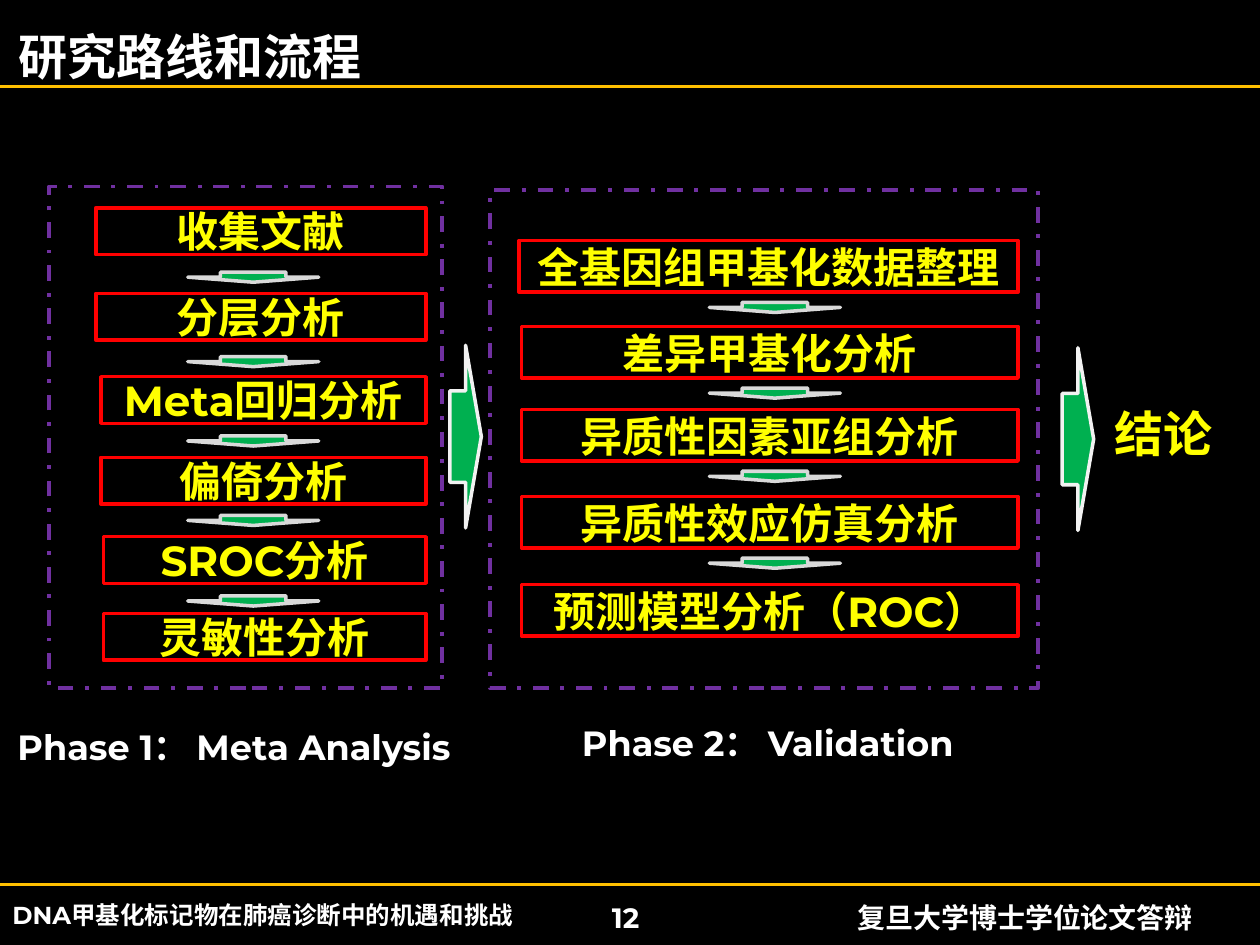
from dataclasses import dataclass

from pptx import Presentation
from pptx.dml.color import RGBColor
from pptx.enum.dml import MSO_LINE
from pptx.enum.shapes import MSO_CONNECTOR, MSO_SHAPE
from pptx.enum.text import MSO_ANCHOR, PP_ALIGN
from pptx.oxml.ns import qn
from pptx.util import Inches, Pt

RECTANGLE = MSO_SHAPE.RECTANGLE
DOWN_ARROW = MSO_SHAPE.DOWN_ARROW
RIGHT_ARROW = MSO_SHAPE.RIGHT_ARROW
STRAIGHT = MSO_CONNECTOR.STRAIGHT
DASH_DOT = MSO_LINE.DASH_DOT
LEFT, CENTER = PP_ALIGN.LEFT, PP_ALIGN.CENTER
MIDDLE = MSO_ANCHOR.MIDDLE


@dataclass(frozen=True)
class Theme:
    font: str = "Montserrat"
    background: str = "000000"
    text: str = "FFFFFF"
    accent: str = "FFFF00"
    rule: str = "FFC000"
    step_border: str = "FF0000"
    phase_border: str = "7030A0"
    arrow: str = "00B050"
    step_arrow_border: str = "D9D9D9"
    phase_arrow_border: str = "F2F2F2"
    title_size: int = 28
    step_size: int = 24
    phase_size: int = 20
    footer_size: int = 16
    topic_size: int = 14


THEME = Theme()

META_STEPS = [
    ("收集文献", 0.76, 1.65),
    ("分层分析", 0.76, 2.33),
    ("Meta回归分析", 0.8, 2.99),
    ("偏倚分析", 0.8, 3.63),
    ("SROC分析", 0.82, 4.26),
    ("灵敏性分析", 0.82, 4.87),
]
META_ARROW_TOPS = [2.16, 2.83, 3.46, 4.09, 4.73]

VALIDATION_STEPS = [
    ("全基因组甲基化数据整理", 4.12, 1.91),
    ("差异甲基化分析", 4.14, 2.59),
    ("异质性因素亚组分析", 4.14, 3.25),
    ("异质性效应仿真分析", 4.14, 3.94),
    ("预测模型分析（ROC）", 4.14, 4.64),
]
VALIDATION_ARROW_TOPS = [2.4, 3.08, 3.74, 4.43]


def color(value):
    return RGBColor.from_string(value)


def write_text(frame, text, *, size, ink=THEME.text, align=LEFT, wrap=True):
    frame.word_wrap = wrap
    paragraph = frame.paragraphs[0]
    paragraph.alignment = align
    run = paragraph.add_run()
    run.text = text
    run.font.name = THEME.font
    run.font.size = Pt(size)
    run.font.bold = True
    run.font.color.rgb = color(ink)


def add_label(slide, text, box, **text_format):
    label = slide.shapes.add_textbox(*map(Inches, box))
    write_text(label.text_frame, text, **text_format)


def add_rule(slide, y):
    rule = slide.shapes.add_connector(
        STRAIGHT, Inches(0), Inches(y), Inches(10), Inches(y))
    rule.line.color.rgb = color(THEME.rule)
    rule.line.width = Pt(1.7)
    properties = rule._element.spPr
    properties.append(properties.makeelement(qn("a:effectLst"), {}))


def add_block(slide, kind, box, border, *, fill=None, weight=2, dash=None):
    block = slide.shapes.add_shape(kind, *map(Inches, box))
    block.shadow.inherit = False
    if fill:
        block.fill.solid()
        block.fill.fore_color.rgb = color(fill)
    else:
        block.fill.background()
    block.line.color.rgb = color(border)
    block.line.width = Pt(weight)
    if dash:
        block.line.dash_style = dash
    return block


def add_step(slide, text, box):
    step = add_block(slide, RECTANGLE, box, THEME.step_border)
    step.text_frame.vertical_anchor = MIDDLE
    write_text(step.text_frame, text, size=THEME.step_size,
               ink=THEME.accent, align=CENTER)


def add_phase(slide, frame, steps, right, height, arrow_left, arrow_tops):
    add_block(slide, RECTANGLE, frame, THEME.phase_border,
              weight=2.25, dash=DASH_DOT)
    for text, left, top in steps:
        add_step(slide, text, (left, top, right - left, height))
    for top in arrow_tops:
        add_block(slide, DOWN_ARROW, (arrow_left, top, 1.04, 0.08),
                  THEME.step_arrow_border, fill=THEME.arrow)


def main():
    deck = Presentation()
    deck.slide_width, deck.slide_height = Inches(10), Inches(7.5)
    slide = deck.slides.add_slide(deck.slide_layouts[6])
    slide.background.fill.solid()
    slide.background.fill.fore_color.rgb = color(THEME.background)

    for y in (7.02, 0.69):
        add_rule(slide, y)
    add_label(slide, "研究路线和流程", (0.05, 0.16, 2.95, 0.57),
              size=THEME.title_size, wrap=False)

    add_phase(slide, (0.39, 1.48, 3.12, 3.98), META_STEPS, 3.38, 0.37,
              1.49, META_ARROW_TOPS)
    add_phase(slide, (3.89, 1.51, 4.35, 3.95), VALIDATION_STEPS, 8.08, 0.41,
              5.63, VALIDATION_ARROW_TOPS)
    for left, top in ((3.57, 2.74), (8.43, 2.76)):
        add_block(slide, RIGHT_ARROW, (left, top, 0.25, 1.45),
                  THEME.phase_arrow_border, fill=THEME.arrow)

    add_label(slide, "Phase 1： Meta Analysis", (0.04, 5.71, 5.01, 0.44),
              size=THEME.phase_size)
    add_label(slide, "Phase 2： Validation", (4.52, 5.68, 4.23, 0.44),
              size=THEME.phase_size)
    add_label(slide, "结论", (8.75, 3.15, 1.14, 0.57),
              size=THEME.title_size, ink=THEME.accent)

    add_label(slide, "DNA甲基化标记物在肺癌诊断中的机遇和挑战",
              (0, 7.09, 4.27, 0.34), size=THEME.topic_size)
    add_label(slide, "12", (3.8, 7.1, 2.33, 0.5),
              size=THEME.footer_size, align=CENTER)
    add_label(slide, "复旦大学博士学位论文答辩", (6.71, 7.1, 3.18, 0.5),
              size=THEME.footer_size)

    deck.save("out.pptx")


if __name__ == "__main__":
    main()
